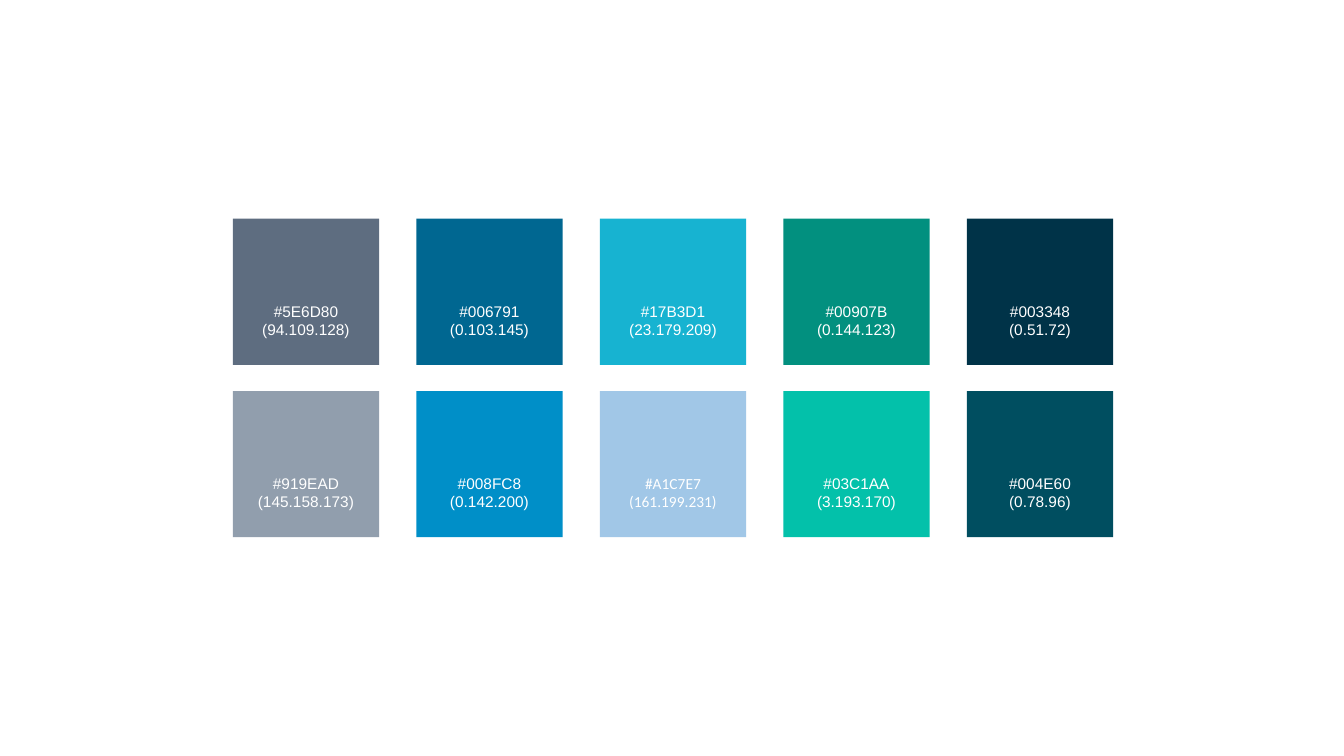
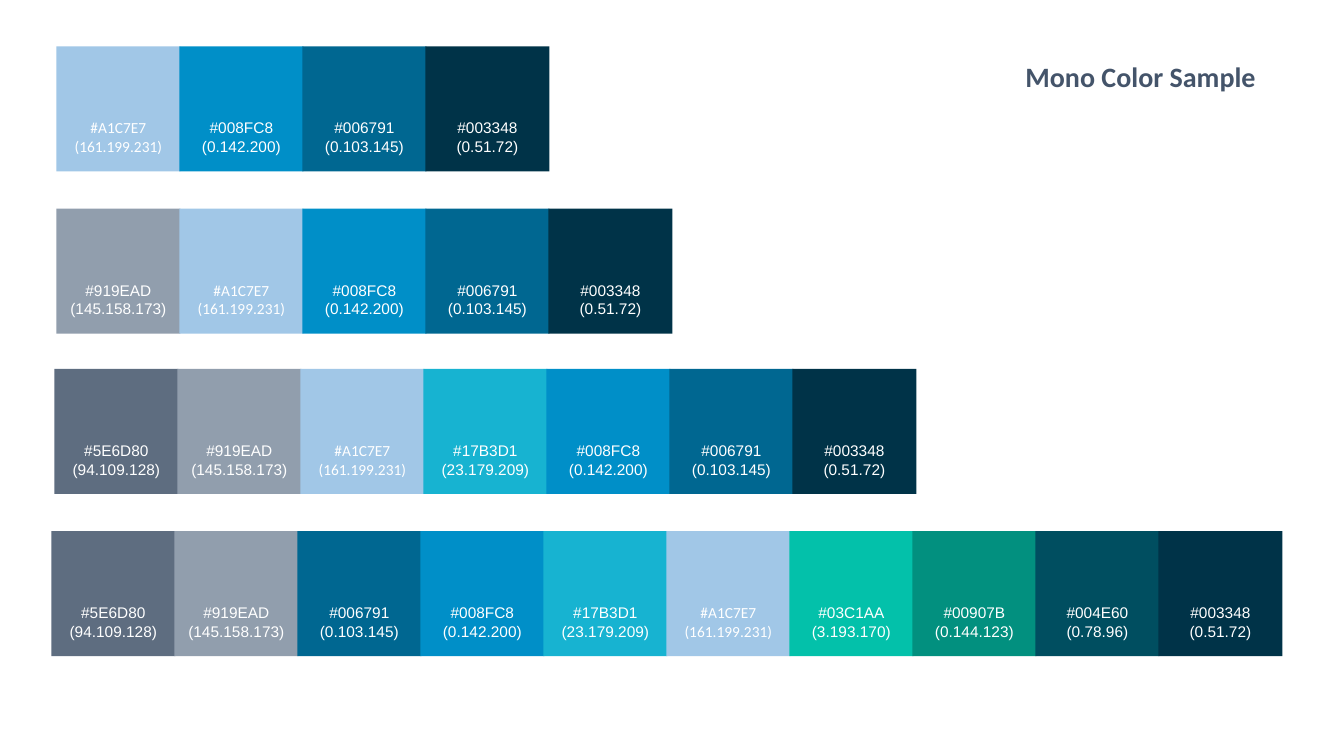
from collections import namedtuple

from pptx import Presentation
from pptx.dml.color import RGBColor
from pptx.enum.shapes import MSO_SHAPE
from pptx.enum.text import MSO_ANCHOR, MSO_AUTO_SIZE, PP_ALIGN
from pptx.util import Emu, Pt

EMU_PER_PX = 9144
TITLE_COLOR = "44546A"
LABEL_COLOR = "FFFFFF"

Swatch = namedtuple("Swatch", "fill code rgb font", defaults=["Arial"])

SLATE = Swatch("5E6D80", "#5E6D80", "(94.109.128)")
GRAY = Swatch("919EAD", "#919EAD", "(145.158.173)")
BLUE = Swatch("006791", "#006791", "(0.103.145)")
AZURE = Swatch("008FC8", "#008FC8", "(0.142.200)")
CYAN = Swatch("17B3D1", "#17B3D1", "(23.179.209)")
SKY = Swatch("A1C7E7", "#A1C7E7", "(161.199.231)", "Calibri")
GREEN = Swatch("02907F", "#00907B", "(0.144.123)")
MINT = Swatch("03C1AA", "#03C1AA", "(3.193.170)")
NAVY = Swatch("003348", "#003348", "(0.51.72)")
TEAL = Swatch("004E60", "#004E60", "(0.78.96)")

PALETTE_ROWS = [
    (231, 217, [SLATE, BLUE, CYAN, GREEN, NAVY]),
    (231, 388, [GRAY, AZURE, SKY, MINT, TEAL]),
]
SAMPLE_ROWS = [
    (56, 46, [SKY, AZURE, BLUE, NAVY]),
    (56, 207, [GRAY, SKY, AZURE, BLUE, NAVY]),
    (54, 366, [SLATE, GRAY, SKY, CYAN, AZURE, BLUE, NAVY]),
    (51, 527, [SLATE, GRAY, BLUE, AZURE, CYAN, SKY, MINT, GREEN, TEAL, NAVY]),
]


def px(n):
    return Emu(n * EMU_PER_PX)


def color(value):
    return RGBColor.from_string(value)


def add_swatch(shapes, swatch, x, y, w, h):
    sp = shapes.add_shape(MSO_SHAPE.RECTANGLE, px(x), px(y), px(w), px(h))
    sp.shadow.inherit = False
    sp.fill.solid()
    sp.fill.fore_color.rgb = color(swatch.fill)
    sp.line.fill.background()
    tf = sp.text_frame
    tf.word_wrap = True
    tf.vertical_anchor = MSO_ANCHOR.MIDDLE
    tf.margin_top = px(61)
    tf.text = f"{swatch.code}\n{swatch.rgb}"
    for p in tf.paragraphs:
        p.alignment = PP_ALIGN.CENTER
        p.font.size = Pt(11)
        p.font.name = swatch.font
        p.font.color.rgb = color(LABEL_COLOR)


def add_swatch_rows(slide, rows, w, h, pitch):
    for left, top, swatches in rows:
        group = slide.shapes.add_group_shape()
        for i, swatch in enumerate(swatches):
            add_swatch(group.shapes, swatch, left + i * pitch, top, w, h)


def set_title(slide, text, x, y, w, h):
    title = slide.shapes.title
    title.left, title.top, title.width, title.height = map(px, (x, y, w, h))
    tf = title.text_frame
    tf.text = text
    tf.word_wrap = True
    tf.auto_size = MSO_AUTO_SIZE.NONE
    tf.vertical_anchor = MSO_ANCHOR.TOP
    p = tf.paragraphs[0]
    p.alignment = PP_ALIGN.LEFT
    p.font.size = Pt(20)
    p.font.bold = True
    p.font.name = "Calibri"
    p.font.color.rgb = color(TITLE_COLOR)


def main():
    prs = Presentation()
    prs.slide_width, prs.slide_height = px(1333), px(750)
    title_only, blank = prs.slide_layouts[5], prs.slide_layouts[6]

    palette = prs.slides.add_slide(blank)
    add_swatch_rows(palette, PALETTE_ROWS, 145, 145, 182)

    samples = prs.slides.add_slide(title_only)
    set_title(samples, "Mono Color Sample", 1007, 54, 267, 44)
    add_swatch_rows(samples, SAMPLE_ROWS, 123, 124, 122)

    prs.save("out.pptx")


if __name__ == "__main__":
    main()
